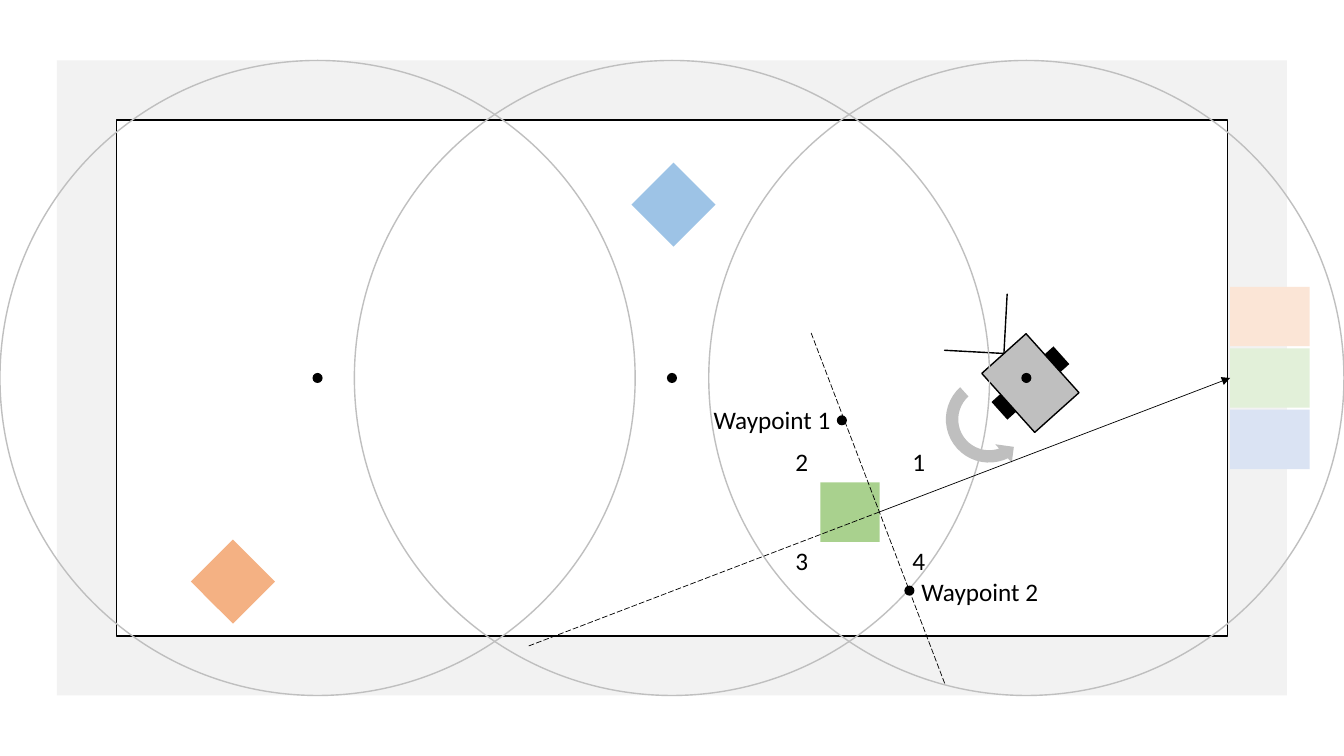
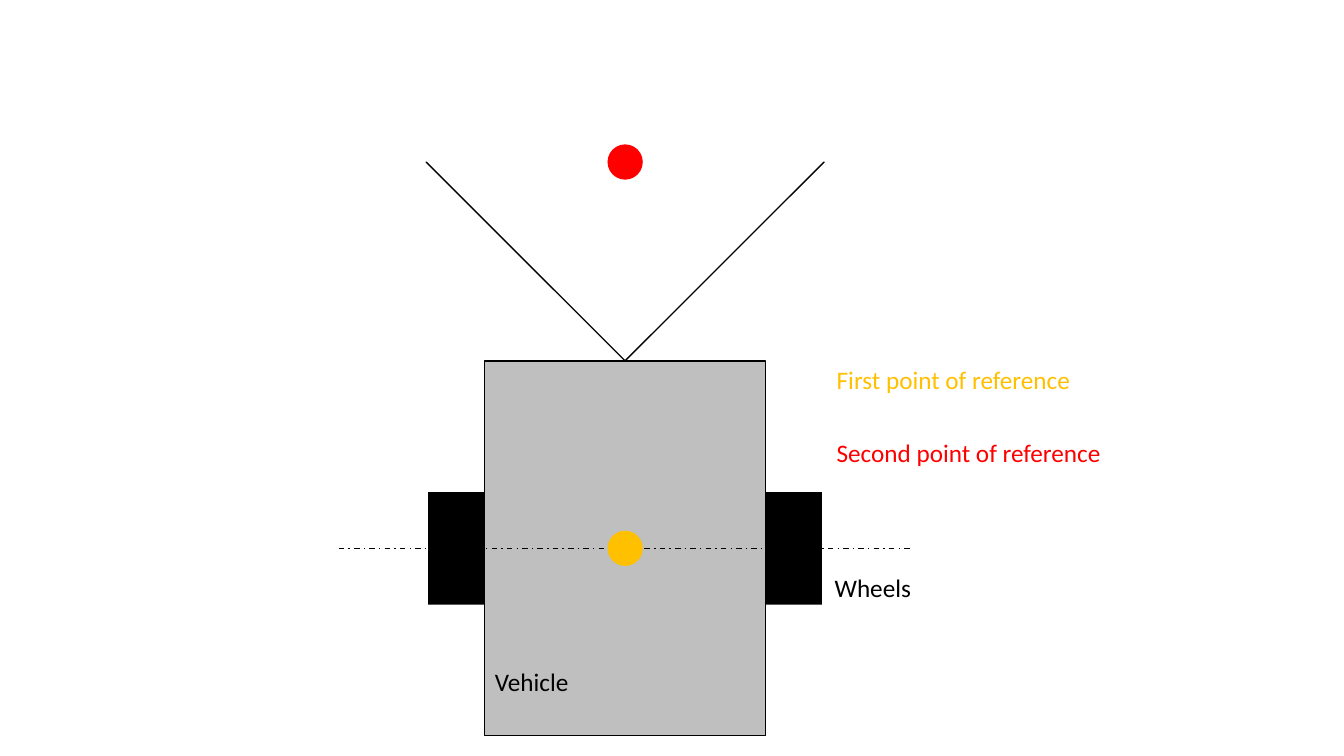
"""Build two slides: a robot driving plan and the vehicle's reference points."""
from math import cos, radians, sin, sqrt

from lxml import etree
from pptx import Presentation
from pptx.dml.color import RGBColor
from pptx.enum.dml import MSO_LINE
from pptx.enum.shapes import MSO_CONNECTOR, MSO_SHAPE
from pptx.enum.text import MSO_AUTO_SIZE
from pptx.oxml.ns import qn
from pptx.util import Inches, Pt

RECT, OVAL, CORNER = MSO_SHAPE.RECTANGLE, MSO_SHAPE.OVAL, MSO_SHAPE.CORNER
TURN, STRAIGHT = MSO_SHAPE.CIRCULAR_ARROW, MSO_CONNECTOR.STRAIGHT
LONG_DASH, DASH_DOT = MSO_LINE.LONG_DASH, MSO_LINE.DASH_DOT
GROW = MSO_AUTO_SIZE.SHAPE_TO_FIT_TEXT

W, H = 13.33, 7.5
BLACK, WHITE, GREY, PALE = "000000", "FFFFFF", "BFBFBF", "F2F2F2"
AMBER, RED = "FFC000", "FF0000"
FONT, SIZE = "Calibri", 18

ARENA, FIELD = (12.2, 6.3), (11.02, 5.12)
REACH, DOT, BLOCK = 3.15, 0.1, 0.59
STATIONS = (REACH, W / 2, W - REACH)
GOAL_X, GOAL_W, GOAL_PITCH = 12.2, 0.79, 0.61
GOALS = ("FBE5D6", "E2F0D9", "DAE3F3")
GREEN_AT = (8.43, 5.08)
BLOCKS = ((GREEN_AT, 90, "A9D18E"), ((6.68, 2.03), 45, "9DC3E6"),
          ((2.31, 5.77), 45, "F4B183"))
QUADRANTS = (("1", 1, -1), ("2", -1, -1), ("3", -1, 1), ("4", 1, 1))
QUADRANT_MID, QUADRANT_STEP = (8.54, 5.07), (0.58, 0.49)
WAYPOINTS = (("Waypoint 1", (8.35, 4.17), 6.98, 3.96),
             ("Waypoint 2", (9.02, 5.86), 9.04, 5.67))
PUSH_AT = (8.72, 5.08)
ROBOT_AT, ROBOT_W, HEADING = (10.22, 3.8), 0.59, -41.9
TURN_AT, TURN_SIZE, TURN_ANGLE = (9.81, 4.16), 0.98, 48

VEHICLE_AT, VEHICLE_W, MARK = (6.2, 5.44), 2.79, 0.35
AXIS = ((3.36, 5.44), (9.03, 5.44))
LABELS = (("Vehicle", 4.81, 6.56, 1.69, BLACK),
          ("Wheels", 8.18, 5.63, 1.74, BLACK),
          ("First point of reference", 8.2, 3.57, 4.58, AMBER),
          ("Second point of reference", 8.2, 4.29, 5.13, RED))


def rgb(value):
    """Turn a hex string into a colour."""
    return RGBColor.from_string(value)


def shape(s, kind, center, size, fill=None, line=None, angle=0):
    """Add a preset shape around its centre."""
    (x, y), (w, h) = center, size
    sp = s.shapes.add_shape(kind, Inches(x - w / 2), Inches(y - h / 2),
                            Inches(w), Inches(h))
    sp.shadow.inherit = False
    sp.rotation = angle
    if fill:
        sp.fill.solid()
        sp.fill.fore_color.rgb = rgb(fill)
    else:
        sp.fill.background()
    if line:
        sp.line.color.rgb = rgb(line)
        sp.line.width = Pt(1)
    else:
        sp.line.fill.background()
    return sp


def dot(s, center, size=DOT, color=BLACK):
    """Add a filled round point."""
    shape(s, OVAL, center, (size, size), color)


def line(s, start, end, width=0.5, dash=None, arrow=False):
    """Add a straight black line, dashed or with an arrowhead if asked."""
    c = s.shapes.add_connector(STRAIGHT, *map(Inches, (*start, *end)))
    c.line.color.rgb = rgb(BLACK)
    c.line.width = Pt(width)
    if dash:
        c.line.dash_style = dash
    if arrow:
        etree.SubElement(c.element.spPr.find(qn("a:ln")), qn("a:tailEnd"),
                         type="triangle")
    etree.SubElement(c.element.spPr, qn("a:effectLst"))


def label(s, text, x, y, w, color=BLACK, h=0.4, wrap=False):
    """Add one line of text."""
    tf = s.shapes.add_textbox(Inches(x), Inches(y), Inches(w), Inches(h)).text_frame
    tf.word_wrap = wrap
    tf.auto_size = GROW
    p = tf.paragraphs[0]
    p.text = text
    p.font.name, p.font.size = FONT, Pt(SIZE)
    p.font.color.rgb = rgb(color)


def vehicle(s, center, u, heading=0):
    """Draw the vehicle of width u and return the middle of its gripper."""
    a = radians(heading)

    def at(right, ahead):
        """Map vehicle axes to slide coordinates."""
        return (center[0] + u * (right * cos(a) + ahead * sin(a)),
                center[1] + u * (right * sin(a) - ahead * cos(a)))

    shape(s, RECT, center, (u, u * 4 / 3), GREY, BLACK, heading)
    gripper_at = at(0, 2 / 3 + sqrt(0.5))
    gripper = shape(s, CORNER, gripper_at, (u, u), None, BLACK, heading - 45)
    gripper.adjustments[0] = gripper.adjustments[1] = 0
    for side in (-0.6, 0.6):
        shape(s, RECT, at(side, 0), (u * 0.2, u * 0.4), BLACK, angle=heading)
    return gripper_at


def plan_slide(s):
    """Draw the field, the blocks and the route."""
    middle = (W / 2, H / 2)
    shape(s, RECT, middle, ARENA, PALE)
    shape(s, RECT, middle, FIELD, WHITE, BLACK)
    vehicle(s, ROBOT_AT, ROBOT_W, HEADING)
    for i, color in enumerate(GOALS):
        shape(s, RECT, (GOAL_X + GOAL_W / 2, H / 2 + (i - 1) * GOAL_PITCH),
              (GOAL_W, BLOCK), color)
    for center, angle, color in BLOCKS:
        shape(s, RECT, center, (BLOCK, BLOCK), color, angle=angle)
    for x in STATIONS:
        shape(s, OVAL, (x, H / 2), (2 * REACH, 2 * REACH), line=GREY)
        dot(s, (x, H / 2))
    turn = shape(s, TURN, TURN_AT, (TURN_SIZE, TURN_SIZE), GREY, angle=TURN_ANGLE)
    turn.element.spPr.find(qn("a:xfrm")).set("flipV", "1")
    line(s, PUSH_AT, (GOAL_X, H / 2), arrow=True)
    line(s, PUSH_AT, (5.24, 6.41), dash=LONG_DASH)
    line(s, (9.37, 6.78), (8.04, 3.29), dash=LONG_DASH)
    (mx, my), (dx, dy) = QUADRANT_MID, QUADRANT_STEP
    for text, col, row in QUADRANTS:
        label(s, text, mx + col * dx - 0.17, my + row * dy - 0.2, 0.33)
    for text, center, x, y in WAYPOINTS:
        label(s, text, x, y, 1.37)
        dot(s, center)


def vehicle_slide(s):
    """Draw the vehicle with its two points of reference."""
    gripper_at = vehicle(s, VEHICLE_AT, VEHICLE_W)
    line(s, *AXIS, width=1, dash=DASH_DOT)
    for text, x, y, w, color in LABELS:
        label(s, text, x, y, w, color, h=0.73, wrap=True)
    dot(s, VEHICLE_AT, MARK, AMBER)
    dot(s, gripper_at, MARK, RED)


prs = Presentation()
prs.slide_width, prs.slide_height = Inches(W), Inches(H)
for draw in (plan_slide, vehicle_slide):
    draw(prs.slides.add_slide(prs.slide_layouts[6]))
prs.save("out.pptx")
